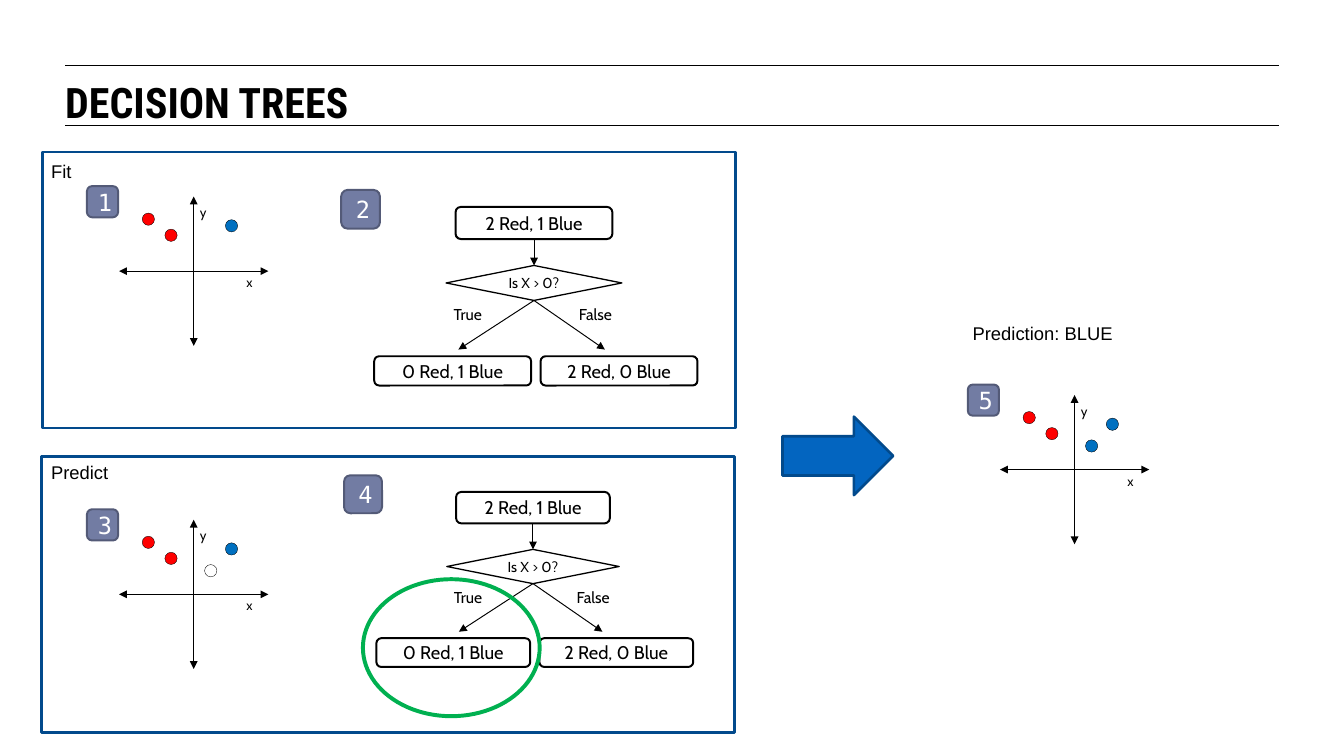
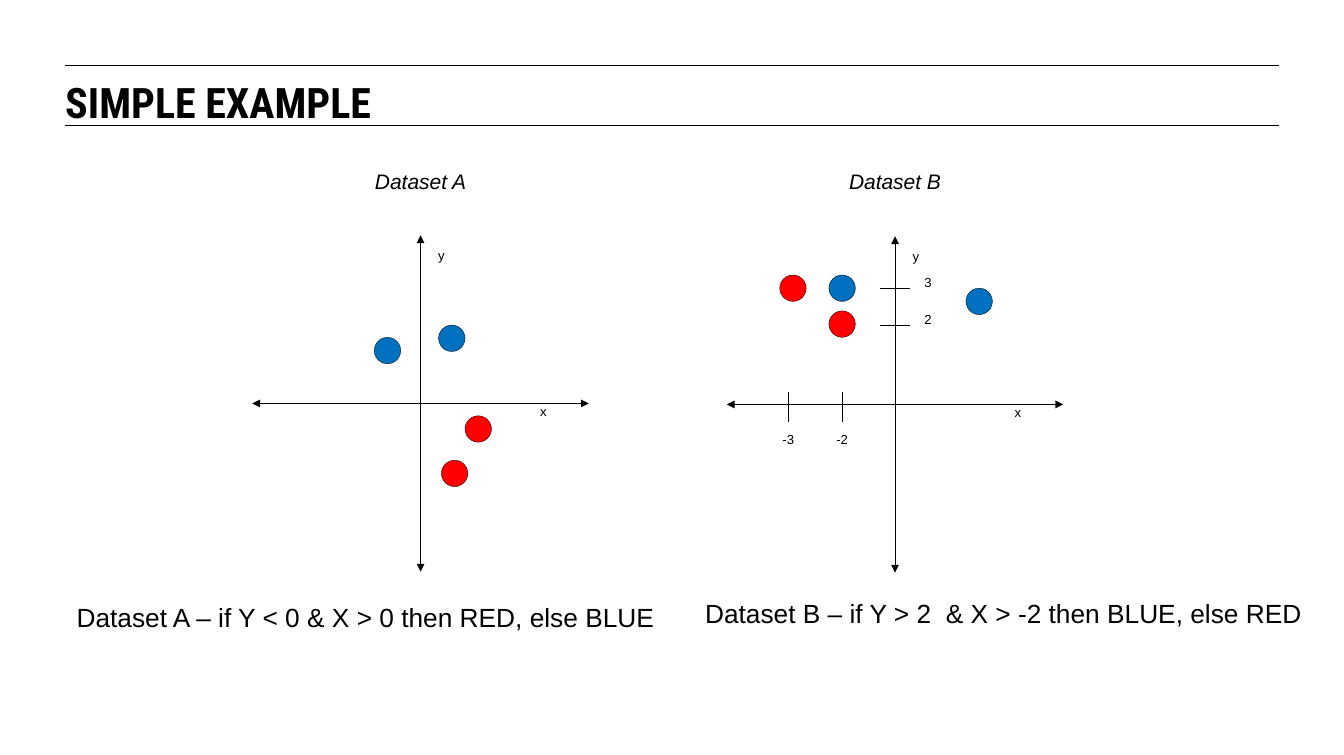
from lxml.etree import SubElement
from pptx import Presentation
from pptx.dml.color import RGBColor
from pptx.enum.shapes import MSO_CONNECTOR, MSO_SHAPE
from pptx.enum.text import MSO_ANCHOR, MSO_AUTO_SIZE, PP_ALIGN
from pptx.oxml.ns import qn
from pptx.util import Inches, Pt

BLACK = RGBColor(0x00, 0x00, 0x00)
WHITE = RGBColor(0xFF, 0xFF, 0xFF)
RED = RGBColor(0xFF, 0x00, 0x00)
BLUE = RGBColor(0x00, 0x70, 0xC0)
GREEN = RGBColor(0x00, 0xB0, 0x50)
NAVY = RGBColor(0x02, 0x4A, 0x8C)
ARROW_BLUE = RGBColor(0x03, 0x65, 0xC0)
SLATE = RGBColor(0x72, 0x7C, 0xA3)
DARK_SLATE = RGBColor(0x53, 0x5A, 0x77)

TITLE_FONT = "Roboto Condensed"
BODY_FONT = "Arial"
DIAGRAM_FONT = "Cabin"
BADGE_FONT = "DejaVu Sans Mono"


class Deck:
    """Holds the shared style and draws on the current slide."""

    def __init__(self):
        self.presentation = Presentation()
        self.presentation.slide_width = Inches(14.22)
        self.presentation.slide_height = Inches(7.99)
        self.slide = None

    def start(self, heading):
        self.slide = self.presentation.slides.add_slide(self.presentation.slide_layouts[5])
        title = self.slide.shapes.title
        title.left, title.top = Inches(0.69), Inches(0.81)
        title.width, title.height = Inches(12.83), Inches(0.53)
        title.text_frame.auto_size = MSO_AUTO_SIZE.NONE
        self.set_text(title, heading, 32, TITLE_FONT, align=PP_ALIGN.LEFT,
                      anchor=MSO_ANCHOR.TOP, bold=True)
        for y in (0.69, 1.33):
            self.line(0.69, y, 13.53, y)

    def set_text(self, holder, text, size, font, color=BLACK, align=PP_ALIGN.CENTER,
                 anchor=MSO_ANCHOR.MIDDLE, inset=0, wrap=True, bold=False, italic=False):
        frame = holder.text_frame
        frame.word_wrap = wrap
        frame.vertical_anchor = anchor
        frame.margin_left = frame.margin_right = Inches(inset)
        frame.margin_top = frame.margin_bottom = Inches(inset)
        paragraph = frame.paragraphs[0]
        paragraph.text = text
        paragraph.alignment = align
        paragraph.font.name = font
        paragraph.font.size = Pt(size)
        paragraph.font.bold = bold
        paragraph.font.italic = italic
        paragraph.font.color.rgb = color

    def line(self, x1, y1, x2, y2, head=False, tail=False):
        connector = self.slide.shapes.add_connector(
            MSO_CONNECTOR.STRAIGHT, Inches(x1), Inches(y1), Inches(x2), Inches(y2))
        connector.line.color.rgb = BLACK
        connector.line.width = Pt(0.75)
        properties = connector._element.spPr
        outline = properties.find(qn("a:ln"))
        for end, wanted in (("a:headEnd", head), ("a:tailEnd", tail)):
            if wanted:
                SubElement(outline, qn(end), type="triangle")
        SubElement(properties, qn("a:effectLst"))

    def shape(self, kind, x, y, width, height, line, weight, fill=None):
        shape = self.slide.shapes.add_shape(
            kind, Inches(x), Inches(y), Inches(width), Inches(height))
        shape.shadow.inherit = False
        if fill is None:
            shape.fill.background()
        else:
            shape.fill.solid()
            shape.fill.fore_color.rgb = fill
        shape.line.color.rgb = line
        shape.line.width = Pt(weight)
        return shape

    def text(self, x, y, width, height, text, size, wrap=True):
        box = self.slide.shapes.add_textbox(Inches(x), Inches(y), Inches(width), Inches(height))
        self.set_text(box, text, size, BODY_FONT, align=PP_ALIGN.LEFT,
                      anchor=MSO_ANCHOR.TOP, inset=0.05, wrap=wrap)

    def label(self, x, y, text, size, font, width=0.7, italic=False):
        height = 0.3
        box = self.slide.shapes.add_textbox(
            Inches(x - width / 2), Inches(y - height / 2), Inches(width), Inches(height))
        self.set_text(box, text, size, font, italic=italic)

    def badge(self, x, y, size, number):
        badge = self.shape(MSO_SHAPE.ROUNDED_RECTANGLE, x, y, size, size,
                           DARK_SLATE, 1.5, SLATE)
        self.set_text(badge, number, 18, BADGE_FONT, WHITE)
        badge.text_frame.margin_left = Inches(0.05)

    def panel(self, x, y, caption, caption_y):
        self.shape(MSO_SHAPE.RECTANGLE, x, y, 7.33, 2.92, NAVY, 2)
        self.text(0.49, caption_y, 1.62, 0.32, caption, 14)

    def plot(self, x, y, arm, dot, points, x_label, y_label, font):
        self.line(x, y - arm, x, y + arm, head=True, tail=True)
        self.line(x + arm, y, x - arm, y, head=True, tail=True)
        for dx, dy, fill in points:
            self.shape(MSO_SHAPE.OVAL, x + dx - dot / 2, y - dy - dot / 2, dot, dot,
                       BLACK, 0.25, fill)
        for name, (dx, dy) in (("x", x_label), ("y", y_label)):
            self.label(x + dx, y - dy, name, 10, font, width=0.27)

    def small_plot(self, x, y, number, extra=()):
        points = [(-0.48, 0.55, RED), (-0.24, 0.38, RED), (0.4, 0.48, BLUE), *extra]
        self.plot(x, y, 0.79, 0.13, points, (0.59, -0.12), (0.1, 0.62), DIAGRAM_FONT)
        self.badge(x - 1.13, y - 0.9, 0.33, number)

    def large_plot(self, x, y, name, points):
        self.plot(x, y, 1.78, 0.28, points, (1.3, -0.08), (0.22, 1.57), BODY_FONT)
        self.label(x, 1.92, name, 16, BODY_FONT, width=3.17, italic=True)

    def ticks(self, x, y, x_ticks, y_ticks):
        for name, dx in x_ticks:
            self.line(x + dx, y - 0.13, x + dx, y + 0.19)
            self.label(x + dx, y + 0.37, name, 10, BODY_FONT, width=0.35)
        for name, dy in y_ticks:
            self.line(x - 0.16, y - dy, x + 0.16, y - dy)
            self.label(x + 0.35, y - dy - 0.06, name, 10, BODY_FONT, width=0.27)

    def tree(self, x, y, number, scale=1.0):
        self.badge(x, y, 0.41 * scale, number)
        nodes = (
            (MSO_SHAPE.ROUNDED_RECTANGLE, 1.21, 0.18, 1.66, 0.34, 1.5, "2 Red, 1 Blue", 14),
            (MSO_SHAPE.ROUNDED_RECTANGLE, 0.35, 1.76, 1.66, 0.31, 1.5, "0 Red, 1 Blue", 14),
            (MSO_SHAPE.ROUNDED_RECTANGLE, 2.11, 1.76, 1.66, 0.31, 1.5, "2 Red, 0 Blue", 14),
            (MSO_SHAPE.DIAMOND, 1.11, 0.8, 1.86, 0.37, 1, "Is X > 0?", 11),
        )
        for kind, dx, dy, width, height, weight, text, size in nodes:
            node = self.shape(kind, x + dx * scale, y + dy * scale,
                              width * scale, height * scale, BLACK, weight)
            self.set_text(node, text, size, DIAGRAM_FONT, wrap=False)
        for start_y, end_x, end_y in ((0.52, 2.04, 0.8), (1.17, 1.24, 1.69), (1.17, 2.79, 1.69)):
            self.line(x + 2.04 * scale, y + start_y * scale,
                      x + end_x * scale, y + end_y * scale, tail=True)
        for answer, dx in (("True", 1.34), ("False", 2.69)):
            self.label(x + dx * scale, y + 1.32 * scale, answer, 12, DIAGRAM_FONT)


def decision_trees(deck):
    deck.start("DECISION TREES")
    deck.panel(0.45, 1.61, "Fit", 1.64)
    deck.small_plot(2.05, 2.87, "1")
    deck.tree(3.61, 2.01, "2")

    deck.panel(0.44, 4.83, "Predict", 4.83)
    deck.small_plot(2.05, 6.29, "3", [(0.18, 0.25, None)])
    deck.tree(3.64, 5.03, "4", scale=0.98)
    deck.shape(MSO_SHAPE.OVAL, 3.84, 6.13, 1.87, 1.45, GREEN, 3)

    deck.shape(MSO_SHAPE.RIGHT_ARROW, 8.28, 4.41, 1.17, 0.83, NAVY, 2, ARROW_BLUE)
    deck.text(10.24, 3.36, 1.62, 0.32, "Prediction: BLUE", 14)
    deck.small_plot(11.37, 4.97, "5", [(0.18, 0.25, BLUE)])


def simple_example(deck):
    deck.start("SIMPLE EXAMPLE")
    deck.large_plot(4.45, 4.27, "Dataset A", [
        (0.36, -0.74, RED), (0.61, -0.27, RED), (-0.35, 0.56, BLUE), (0.33, 0.69, BLUE)])
    deck.large_plot(9.47, 4.28, "Dataset B", [
        (-1.08, 1.23, RED), (-0.56, 0.85, RED), (0.89, 1.09, BLUE), (-0.56, 1.23, BLUE)])
    deck.ticks(9.47, 4.28, [("-3", -1.13), ("-2", -0.56)], [("3", 1.23), ("2", 0.84)])
    deck.text(0.76, 6.31, 6.22, 0.41,
              "Dataset A – if Y < 0 & X > 0 then RED, else BLUE", 20, wrap=False)
    deck.text(7.41, 6.27, 6.42, 0.41,
              "Dataset B – if Y > 2  & X > -2 then BLUE, else RED", 20, wrap=False)


def main():
    deck = Deck()
    decision_trees(deck)
    simple_example(deck)
    deck.presentation.save("out.pptx")


if __name__ == "__main__":
    main()
